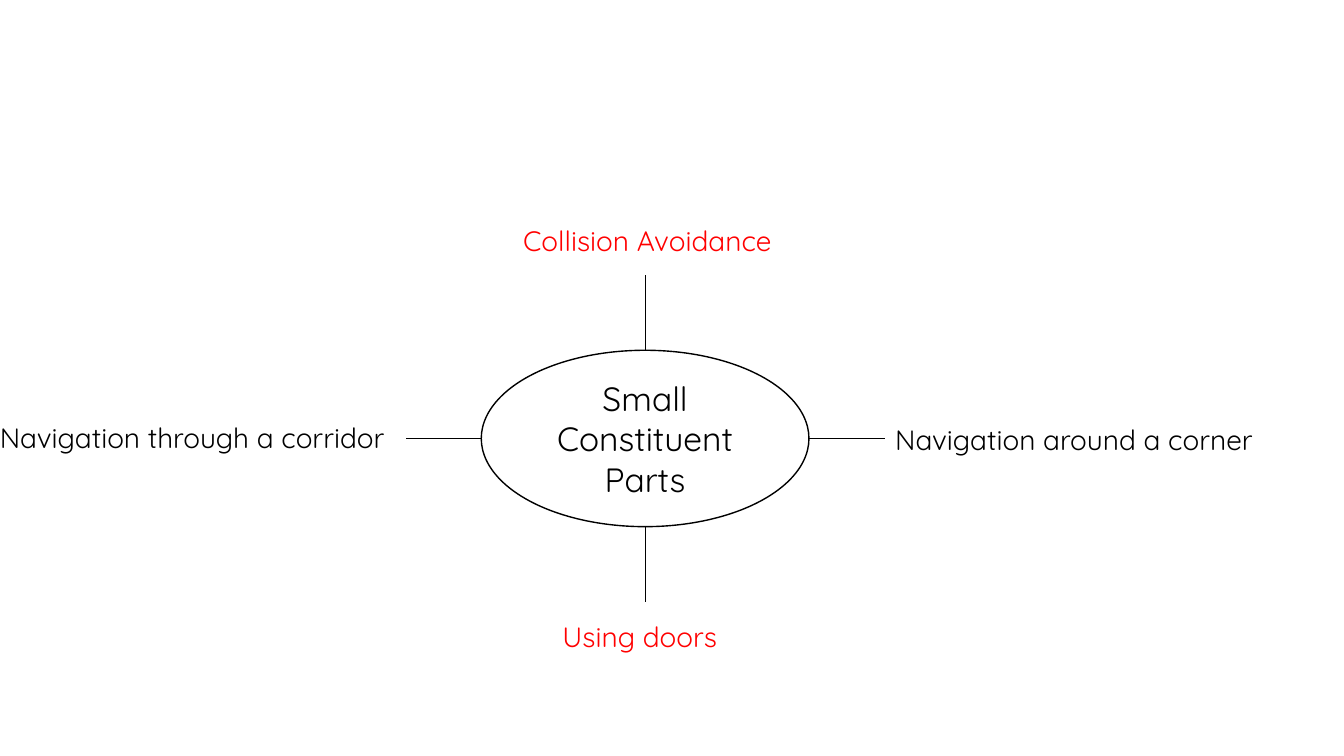
from dataclasses import dataclass

from pptx import Presentation, util as u
from pptx.dml.color import RGBColor
from pptx.enum import shapes, text
from pptx.oxml.ns import qn
from lxml import etree


@dataclass(frozen=True)
class Theme:
    font: str = "Quicksand"
    ink: RGBColor = RGBColor(0, 0, 0)
    mark: RGBColor = RGBColor(255, 0, 0)
    paper: RGBColor = RGBColor(255, 255, 255)
    hub: int = 24
    label: int = 20
    edge: float = 1
    spoke: float = 0.5


theme = Theme()
WIDE, HIGH = 13.33, 7.5
HUB = "Small Constituent Parts"
# words, colour, direction of the spoke, left, top and width of the label
PARTS = [
    ("Navigation around a corner", theme.ink, (1, 0), (8.78, 4.14, 3.91)),
    ("Navigation through a corridor", theme.ink, (-1, 0), (-0.1, 4.12, 4.21)),
    ("Collision Avoidance", theme.mark, (0, -1), (5.09, 2.17, 2.88)),
    ("Using doors", theme.mark, (0, 1), (5.48, 6.1, 1.84)),
]
MID_X, MID_Y = WIDE * 0.48, HIGH * 0.58
HALF_W, HALF_H = 3.25 / 2, 1.75 / 2
REACH, ROW = 0.75, 0.44


def write(shape, words, size, color, align=text.PP_ALIGN.LEFT, wrap=False):
    frame = shape.text_frame
    frame.word_wrap = wrap
    para = frame.paragraphs[0]
    para.alignment = align
    run = para.add_run()
    run.text = words
    run.font.name = theme.font
    run.font.size = u.Pt(size)
    run.font.color.rgb = color
    return frame


def draw_hub(slide):
    hub = slide.shapes.add_shape(
        shapes.MSO_SHAPE.OVAL,
        u.Inches(MID_X - HALF_W), u.Inches(MID_Y - HALF_H),
        u.Inches(2 * HALF_W), u.Inches(2 * HALF_H))
    hub.shadow.inherit = False
    hub.fill.solid()
    hub.fill.fore_color.rgb = theme.paper
    hub.line.color.rgb = theme.ink
    hub.line.width = u.Pt(theme.edge)
    frame = write(hub, HUB, theme.hub, theme.ink,
                  align=text.PP_ALIGN.CENTER, wrap=True)
    frame.vertical_anchor = text.MSO_ANCHOR.MIDDLE


def draw_spoke(slide, way):
    """Draw a line from the rim of the hub outwards."""
    dx, dy = way
    x, y = MID_X + dx * HALF_W, MID_Y + dy * HALF_H
    ends = (x, y, x + dx * REACH, y + dy * REACH)
    line = slide.shapes.add_connector(
        shapes.MSO_CONNECTOR.STRAIGHT, *map(u.Inches, ends))
    line.line.color.rgb = theme.ink
    line.line.width = u.Pt(theme.spoke)
    etree.SubElement(line._element.spPr, qn("a:effectLst"))


def draw_label(slide, words, color, place):
    box = slide.shapes.add_textbox(*map(u.Inches, (*place, ROW)))
    frame = write(box, words, theme.label, color)
    frame.auto_size = text.MSO_AUTO_SIZE.SHAPE_TO_FIT_TEXT


def main():
    deck = Presentation()
    deck.slide_width, deck.slide_height = u.Inches(WIDE), u.Inches(HIGH)
    slide = deck.slides.add_slide(deck.slide_layouts[6])
    draw_hub(slide)
    for words, color, way, place in PARTS:
        draw_spoke(slide, way)
        draw_label(slide, words, color, place)
    deck.save("out.pptx")


if __name__ == "__main__":
    main()
